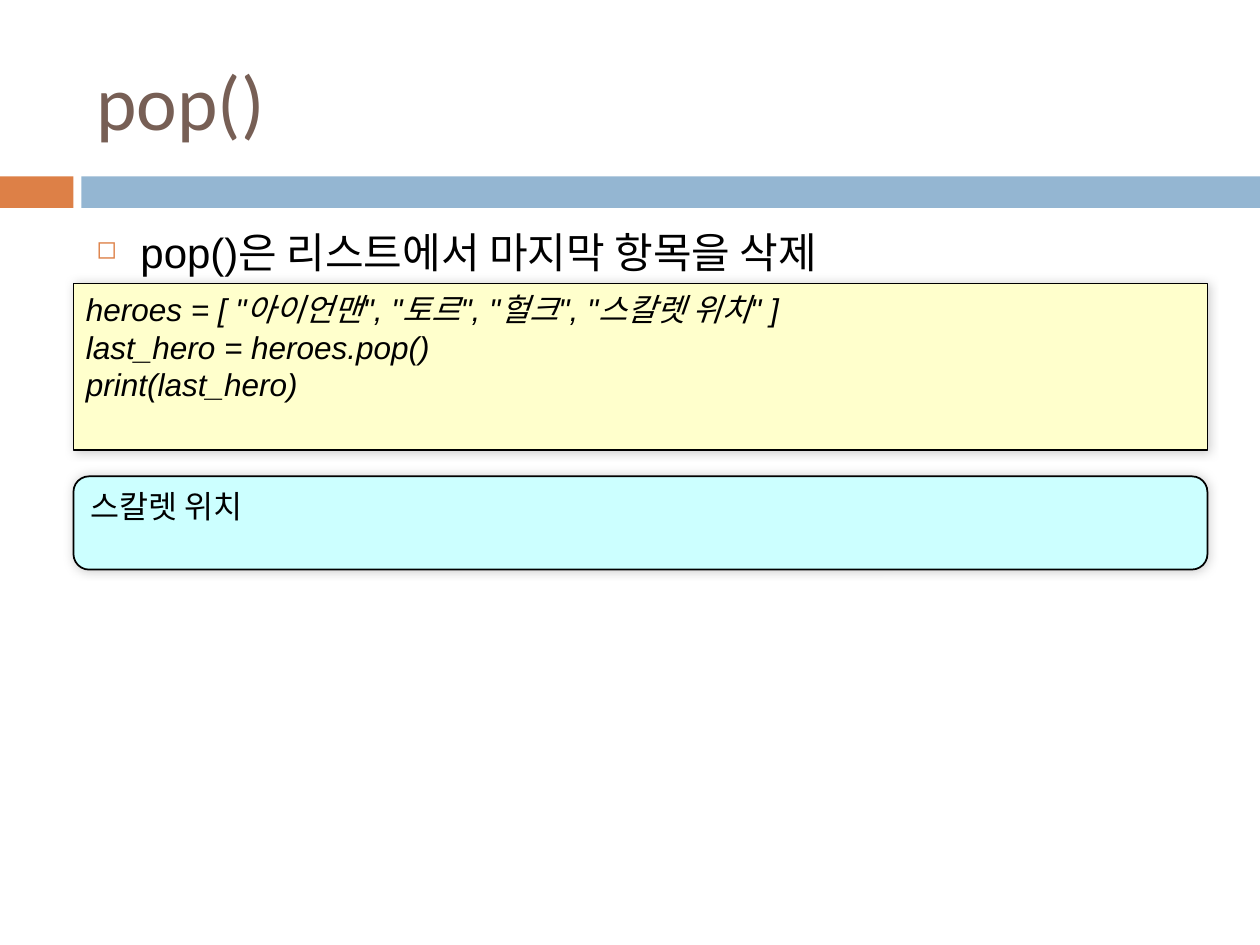
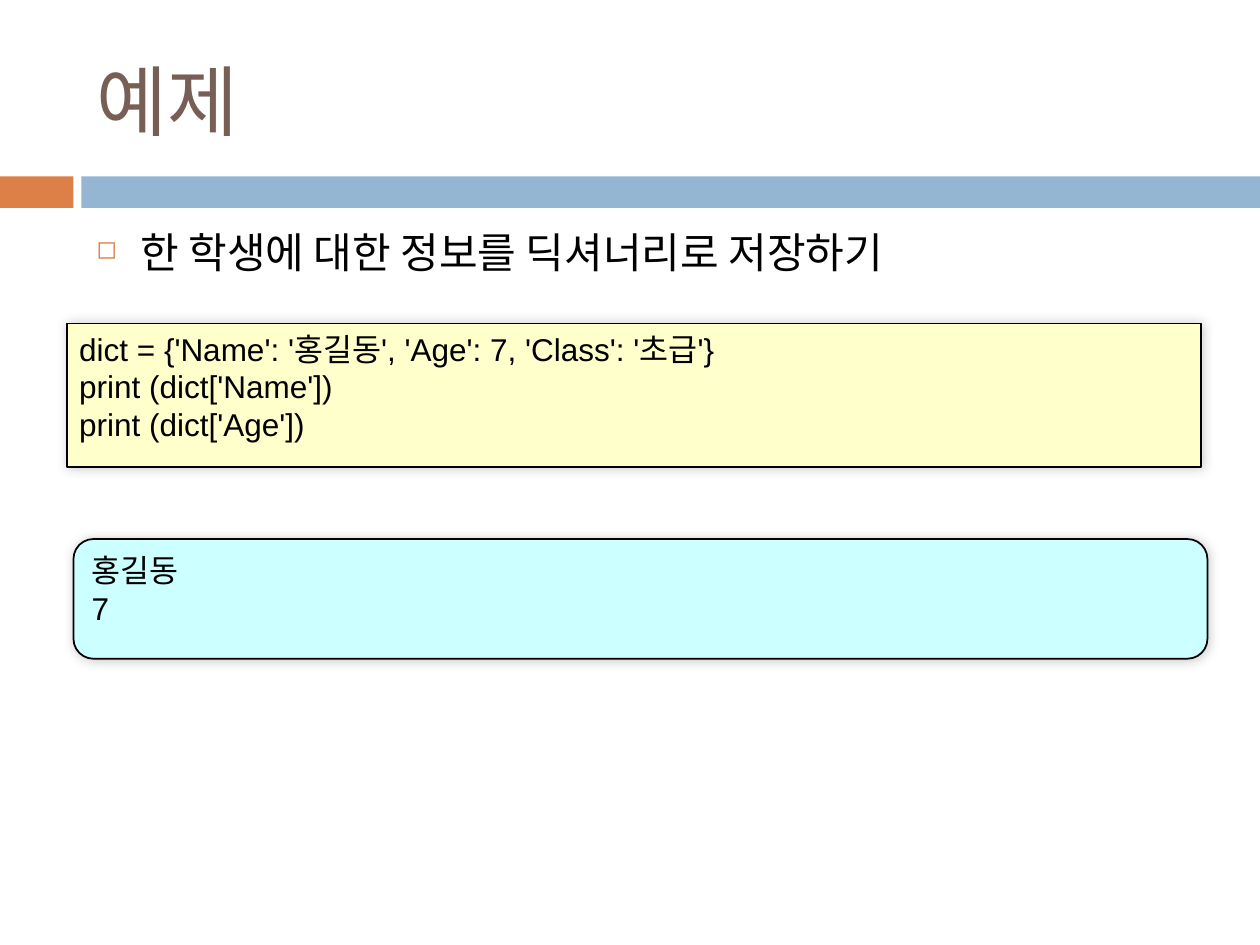
"""Build two lesson slides: list pop() and a dictionary example."""
from lxml.etree import SubElement
from pptx import Presentation
from pptx.dml.color import RGBColor
from pptx.enum.shapes import MSO_SHAPE
from pptx.enum.text import MSO_ANCHOR, PP_ALIGN
from pptx.oxml.ns import qn
from pptx.util import Pt

SLIDES = [
    {
        "title": "pop()",
        "point": "pop()은 리스트에서 마지막 항목을 삭제",
        "code": [
            'heroes = [ "아이언맨", "토르", "헐크", "스칼렛 위치" ]',
            "last_hero = heroes.pop()",
            "print(last_hero)",
        ],
        "code_box": (42, 162, 648, 95),
        "code_italic": True,
        "output": ["스칼렛 위치"],
        "output_box": (42, 272.2, 648, 53.3),
        "output_font": "Cambria",
    },
    {
        "title": "예제",
        "point": "한 학생에 대한 정보를 딕셔너리로 저장하기",
        "code": [
            "dict = {'Name': '홍길동', 'Age': 7, 'Class': '초급'}",
            "print (dict['Name'])",
            "print (dict['Age'])",
        ],
        "code_box": (38.2, 184.8, 648, 82),
        "code_italic": False,
        "output": ["홍길동", "7"],
        "output_box": (42, 308, 648, 68.4),
        "output_font": "Arial",
    },
]

ORANGE, BLUE, BROWN, BLACK = "DD8047", "94B6D2", "775F55", "000000"
CODE_FILL, OUTPUT_FILL = "FFFFCC", "CCFFFF"
WIDTH, HEIGHT = 720, 540
BAND_TOP, BAND_HEIGHT = 100.8, 18
TAB_WIDTH, BAND_LEFT = 42, 46.5
TEXT_LEFT, TEXT_WIDTH = 48, 642


def rgb(color):
    return RGBColor.from_string(color)


def write(sp, lines, size=18, font="Arial", color=BLACK, italic=False,
          anchor=MSO_ANCHOR.TOP):
    tf = sp.text_frame
    tf.word_wrap = True
    tf.vertical_anchor = anchor
    for i, line in enumerate(lines):
        p = tf.add_paragraph() if i else tf.paragraphs[0]
        p.alignment = PP_ALIGN.LEFT
        r = p.add_run()
        r.text = line
        r.font.size = Pt(size)
        r.font.name = font
        r.font.italic = italic
        r.font.color.rgb = rgb(color)
    return tf


def add_box(s, kind, box, fill, line=None):
    sp = s.shapes.add_shape(kind, *map(Pt, box))
    sp.shadow.inherit = False
    sp.fill.solid()
    sp.fill.fore_color.rgb = rgb(fill)
    if line:
        sp.line.color.rgb = rgb(line)
        sp.line.width = Pt(1)
    else:
        sp.line.fill.background()
    return sp


def add_shadow(sp):
    effects = sp._element.spPr.find(qn("a:effectLst"))
    shadow = SubElement(effects, qn("a:outerShdw"), blurRad=str(Pt(6)),
                        dist="0", dir=str(315 * 60000), rotWithShape="0")
    color = SubElement(shadow, qn("a:srgbClr"), val=BLACK)
    SubElement(color, qn("a:alpha"), val="20000")


def add_bullet(p):
    pPr = p._p.get_or_add_pPr()
    pPr.set("marL", str(Pt(25.2)))
    pPr.set("indent", str(Pt(-25.2)))
    p.space_before = Pt(7)
    SubElement(SubElement(pPr, qn("a:buClr")), qn("a:srgbClr"), val=ORANGE)
    SubElement(pPr, qn("a:buSzPct"), val="60000")
    SubElement(pPr, qn("a:buChar"), char="◻")


def add_text(s, top, height, text, **fmt):
    sp = s.shapes.add_textbox(*map(Pt, (TEXT_LEFT, top, TEXT_WIDTH, height)))
    return write(sp, [text], **fmt)


def add_panel(s, kind, box, fill, lines, **fmt):
    sp = add_box(s, kind, box, fill, BLACK)
    add_shadow(sp)
    write(sp, lines, **fmt)


def add_lesson(prs, lesson):
    s = prs.slides.add_slide(prs.slide_layouts[6])
    for left, right, color in ((0, TAB_WIDTH, ORANGE), (BAND_LEFT, WIDTH, BLUE)):
        add_box(s, MSO_SHAPE.RECTANGLE,
                (left, BAND_TOP, right - left, BAND_HEIGHT), color)
    add_text(s, 18, 78, lesson["title"], size=44, font="Calibri", color=BROWN,
             anchor=MSO_ANCHOR.MIDDLE)
    tf = add_text(s, 126, 354, lesson["point"], size=24)
    add_bullet(tf.paragraphs[0])
    add_panel(s, MSO_SHAPE.RECTANGLE, lesson["code_box"], CODE_FILL,
              lesson["code"], italic=lesson["code_italic"])
    add_panel(s, MSO_SHAPE.FLOWCHART_ALTERNATE_PROCESS, lesson["output_box"],
              OUTPUT_FILL, lesson["output"], font=lesson["output_font"])


def main():
    prs = Presentation()
    prs.slide_width, prs.slide_height = Pt(WIDTH), Pt(HEIGHT)
    for lesson in SLIDES:
        add_lesson(prs, lesson)
    prs.save("out.pptx")


if __name__ == "__main__":
    main()
